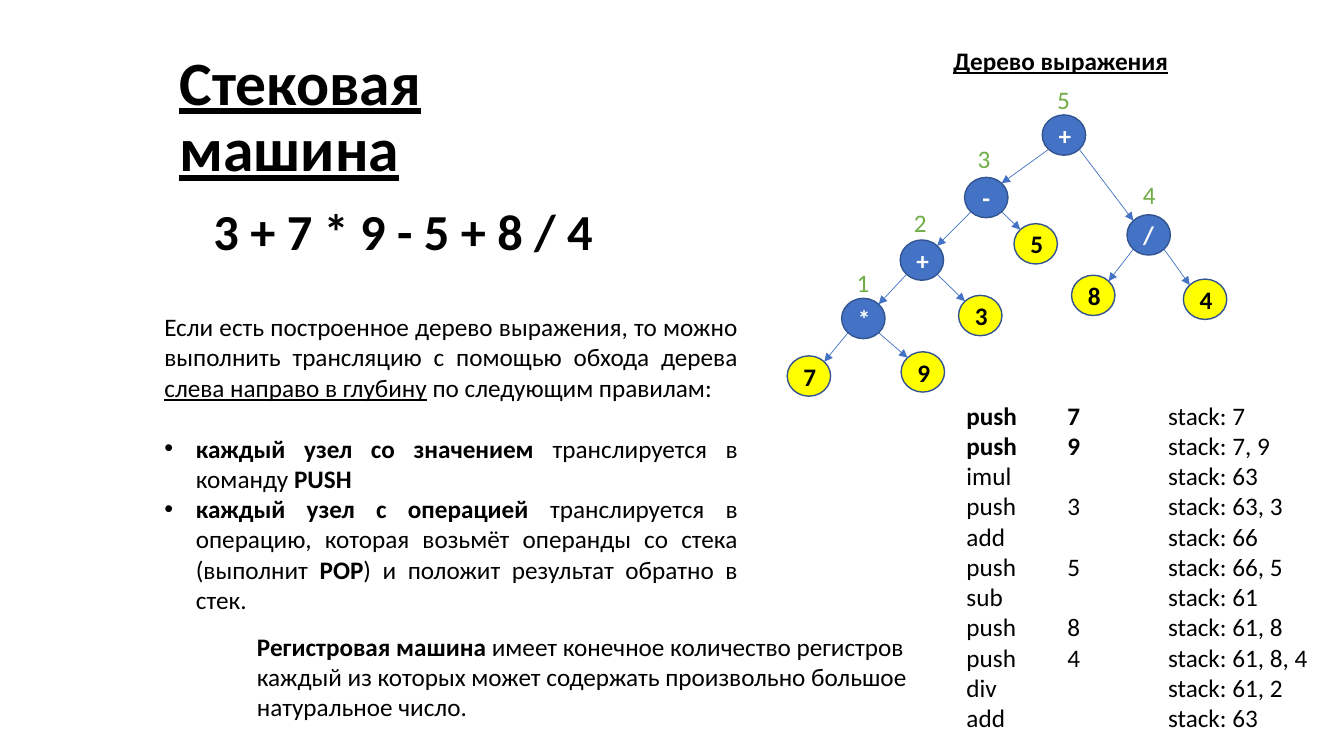
from dataclasses import dataclass
from typing import NamedTuple

from lxml import etree
from pptx import Presentation
from pptx.dml.color import RGBColor
from pptx.enum.shapes import MSO_CONNECTOR, MSO_SHAPE
from pptx.enum.text import MSO_ANCHOR, MSO_AUTO_SIZE, PP_ALIGN
from pptx.oxml.ns import qn
from pptx.util import Pt

OVAL = MSO_SHAPE.OVAL
LINE = MSO_CONNECTOR.STRAIGHT
TOP, MIDDLE = MSO_ANCHOR.TOP, MSO_ANCHOR.MIDDLE
FIXED, GROW = MSO_AUTO_SIZE.NONE, MSO_AUTO_SIZE.SHAPE_TO_FIT_TEXT
LEFT, CENTER, JUSTIFY = PP_ALIGN.LEFT, PP_ALIGN.CENTER, PP_ALIGN.JUSTIFY

FONT = "Calibri"
BLACK, WHITE = "000000", "FFFFFF"
BLUE, NAVY, YELLOW, GREEN = "4472C4", "325491", "FFFF00", "70AD47"
WIDE, HIGH = 31, 28.8  # size of a tree node
NEAR, FAR = 0.146, 0.854  # where the diagonals cut an ellipse


class Bit(NamedTuple):
    text: str
    bold: bool = False
    under: bool = False


class Box(NamedTuple):
    left: float
    top: float
    width: float
    height: float


@dataclass
class Node:
    text: str
    left: float
    top: float
    kids: tuple[int, ...] = ()


@dataclass
class Tag:
    text: str
    left: float
    top: float


NODES = [
    Node("+", 744.5, 82.1, (1, 2)),
    Node("-", 689, 126.7, (4, 3)),
    Node("/", 805, 153.4, (5, 6)),
    Node("5", 724.3, 159.8),
    Node("+", 643, 171.4, (7, 8)),
    Node("8", 765.4, 196.6),
    Node("4", 845.3, 199.4),
    Node("*", 601.2, 213.1, (9, 10)),
    Node("3", 684.7, 211),
    Node("7", 562.3, 254.2),
    Node("9", 643.7, 251.3),
]
TAGS = [
    Tag("1", 604.8, 187.2),
    Tag("2", 645.8, 144.7),
    Tag("3", 691.2, 98.6),
    Tag("4", 809.3, 124.6),
    Tag("5", 748.1, 56.9),
]
RULES = [
    [Bit("Если есть построенное дерево выражения, то можно выполнить трансляцию "
         "с помощью обхода дерева "),
     Bit("слева направо в глубину", under=True),
     Bit(" по следующим правилам:")],
    [Bit("каждый узел со значением ", True), Bit("транслируется в команду "),
     Bit("PUSH", True)],
    [Bit("каждый узел с операцией ", True),
     Bit("транслируется в операцию, которая возьмёт операнды со стека (выполнит "),
     Bit("POP", True), Bit(") и положит результат обратно в стек.")],
]
CODE = [
    [Bit("push\t7\t", True), Bit("stack: 7")],
    [Bit("push\t9\t", True), Bit("stack: 7, 9")],
    [Bit("imul\t\tstack: 63")],
    [Bit("push\t3\tstack: 63, 3")],
    [Bit("add\t\tstack: 66")],
    [Bit("push\t5\tstack: 66, 5")],
    [Bit("sub\t\tstack: 61")],
    [Bit("push\t8\tstack: 61, 8")],
    [Bit("push\t4\tstack: 61, 8, 4")],
    [Bit("div\t\tstack: 61, 2")],
    [Bit("add\t\tstack: 63")],
]
NOTE = [
    [Bit("Регистровая машина ", True), Bit("имеет конечное количество регистров")],
    [Bit("каждый из которых может содержать произвольно большое натуральное число.")],
]


def paint(target, color: str) -> None:
    """Give a fill or a font a solid colour."""
    if hasattr(target, "solid"):
        target.solid()
        target.fore_color.rgb = RGBColor.from_string(color)
    else:
        target.color.rgb = RGBColor.from_string(color)


def write(frame, rows: list[list[Bit]], size: float = 18, color: str = BLACK,
          align=LEFT) -> None:
    for i, row in enumerate(rows):
        para = frame.add_paragraph() if i else frame.paragraphs[0]
        para.alignment = align
        for bit in row:
            run = para.add_run()
            run.text = bit.text
            font = run.font
            font.name, font.size = FONT, Pt(size)
            font.bold, font.underline = bit.bold, bit.under
            paint(font, color)


def place(shape, box: Box) -> None:
    shape.left, shape.top, shape.width, shape.height = map(Pt, box)


def label(slide, box: Box, rows: list[list[Bit]], size: float = 18,
          color: str = BLACK, wrap: bool = True):
    frame = slide.shapes.add_textbox(*map(Pt, box)).text_frame
    frame.word_wrap = wrap
    frame.auto_size = GROW
    write(frame, rows, size, color)
    return frame


def add_node(slide, node: Node) -> None:
    oval = slide.shapes.add_shape(OVAL, Pt(node.left), Pt(node.top), Pt(WIDE), Pt(HIGH))
    oval.shadow.inherit = False
    paint(oval.fill, BLUE if node.kids else YELLOW)
    paint(oval.line.fill, NAVY)
    oval.line.width = Pt(1)
    oval.text_frame.vertical_anchor = MIDDLE
    write(oval.text_frame, [[Bit(node.text, True)]],
          color=WHITE if node.kids else BLACK, align=CENTER)


def add_edge(slide, top: Node, kid: Node) -> None:
    out, into = (NEAR, FAR) if kid.left < top.left else (FAR, NEAR)
    ends = (top.left + out * WIDE, top.top + FAR * HIGH,
            kid.left + into * WIDE, kid.top + NEAR * HIGH)
    edge = slide.shapes.add_connector(LINE, *map(Pt, ends))
    paint(edge.line.fill, BLUE)
    edge.line.width = Pt(0.5)
    etree.SubElement(edge.line._get_or_add_ln(), qn("a:tailEnd"), type="triangle")
    etree.SubElement(edge._element.spPr, qn("a:effectLst"))


def add_rules(body) -> None:
    place(body, Box(110.2, 218.9, 424, 225.4))
    frame = body.text_frame
    frame.auto_size = FIXED
    frame.vertical_anchor = TOP
    write(frame, RULES, align=JUSTIFY)
    for i, para in enumerate(frame.paragraphs):
        para.space_before = Pt(22 if i == 1 else 0)
        props = para._p.get_or_add_pPr()
        gap = Pt(22.5) if i else 0
        props.set("marL", str(gap))
        props.set("indent", str(-gap))
        if i:
            etree.SubElement(props, qn("a:buFont"), typeface="Arial")
            etree.SubElement(props, qn("a:buChar"), char="•")
        else:
            etree.SubElement(props, qn("a:buNone"))


def add_code(slide) -> None:
    frame = label(slide, Box(683.3, 282.2, 259.2, 247), CODE)
    for para in frame.paragraphs:
        tabs = etree.SubElement(para._p.get_or_add_pPr(), qn("a:tabLst"))
        for stop in (72, 144):
            etree.SubElement(tabs, qn("a:tab"), pos=str(Pt(stop)), algn="l")


def main() -> None:
    deck = Presentation()
    deck.slide_width, deck.slide_height = Pt(960), Pt(540)
    slide = deck.slides.add_slide(deck.slide_layouts[1])

    # Title and formula
    title = slide.shapes.title
    place(title, Box(121, 46.8, 347, 75.6))
    title.text_frame.auto_size = FIXED
    title.text_frame.vertical_anchor = MIDDLE
    write(title.text_frame, [[Bit("Стековая машина", True, True)]], 44)
    title.text_frame.paragraphs[0].line_spacing = 0.9
    label(slide, Box(145.4, 139.7, 329, 51), [[Bit("3 + 7 * 9 - 5 + 8 / 4", True)]], 36)

    # Expression tree
    for node in NODES:
        add_node(slide, node)
    for node in NODES:
        for kid in node.kids:
            add_edge(slide, node, NODES[kid])
    for tag in TAGS:
        label(slide, Box(tag.left, tag.top, 23.8, 29), [[Bit(tag.text)]],
              color=GREEN, wrap=False)
    label(slide, Box(673.9, 28.8, 169.2, 29), [[Bit("Дерево выражения", True, True)]],
          wrap=False)

    # Rules, code and note
    add_rules(slide.placeholders[1])
    add_code(slide)
    label(slide, Box(176.4, 447.1, 490.3, 72.7), NOTE)

    deck.save("out.pptx")


if __name__ == "__main__":
    main()
